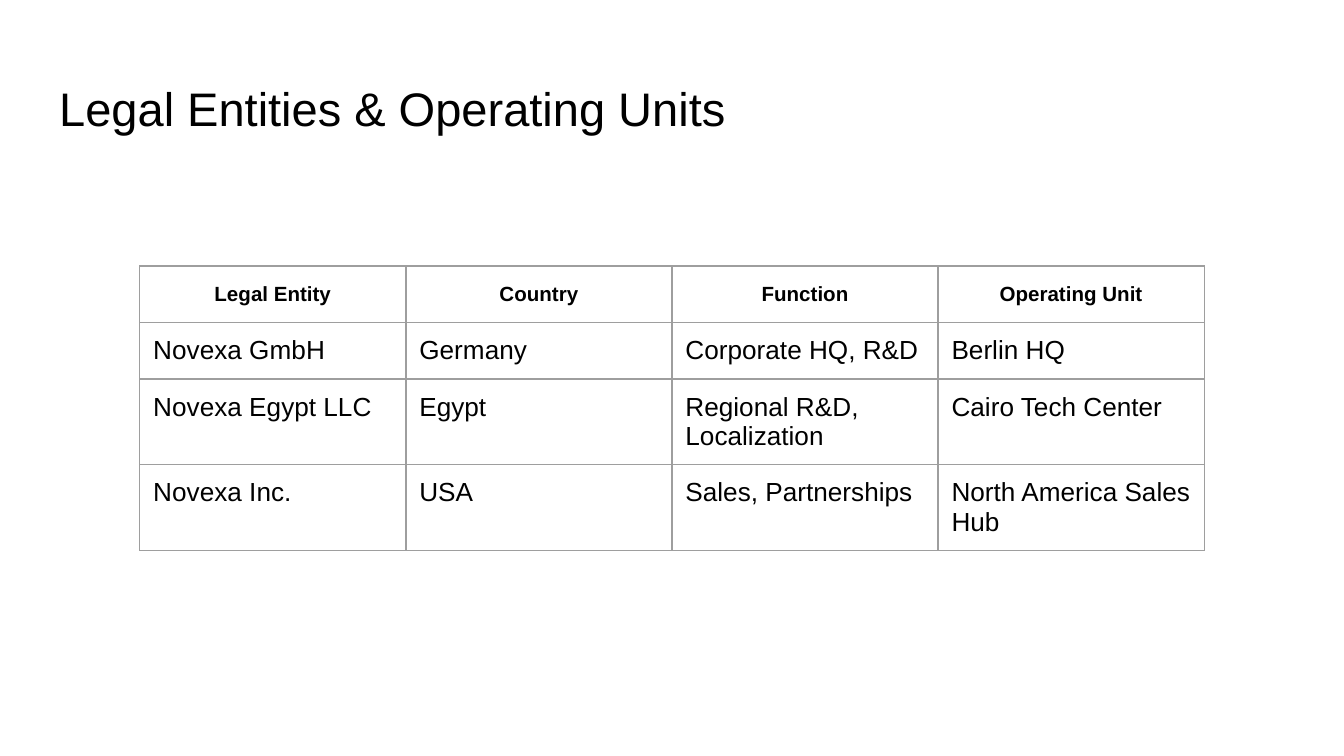
import pptx
import pptx.dml.color
import pptx.enum.text
import pptx.oxml
import pptx.oxml.ns
import pptx.util

Inches = pptx.util.Inches
ALIGN = pptx.enum.text.PP_ALIGN
ANCHOR = pptx.enum.text.MSO_ANCHOR
BLACK = pptx.dml.color.RGBColor(0x00, 0x00, 0x00)
GREY = pptx.dml.color.RGBColor(0x9E, 0x9E, 0x9E)
INSET = Inches(0.1)
COLUMN, ROW = Inches(1.98), Inches(0.42)


def write(frame, text, size, bold=False, align=ALIGN.LEFT, spacing=1.0):
    frame.text = text
    frame.word_wrap = True
    paragraph = frame.paragraphs[0]
    paragraph.alignment = align
    paragraph.line_spacing = spacing
    font = paragraph.runs[0].font
    font.name = "Arial"
    font.size = pptx.util.Pt(size)
    font.bold = bold
    font.color.rgb = BLACK


def add_borders(cell):
    properties = cell._tc.get_or_add_tcPr()
    for position, side in enumerate(("lnL", "lnR", "lnT", "lnB")):
        properties.insert(position, pptx.oxml.parse_xml(
            f'<a:{side} {pptx.oxml.ns.nsdecls("a")} w="{pptx.util.Pt(0.75)}">'
            f'<a:solidFill><a:srgbClr val="{GREY}"/></a:solidFill></a:{side}>'))


deck = pptx.Presentation()
deck.slide_width = Inches(10)
deck.slide_height = deck.slide_width * 9 // 16
slide = deck.slides.add_slide(deck.slide_layouts[5])

heading = slide.shapes.title
heading.left, heading.top = Inches(0.34), Inches(0.49)
heading.width, heading.height = Inches(9.32), Inches(0.63)
write(heading.text_frame, "Legal Entities & Operating Units", size=25.2)
heading.text_frame.auto_size = pptx.enum.text.MSO_AUTO_SIZE.NONE
heading.text_frame.vertical_anchor = ANCHOR.MIDDLE
heading.text_frame.margin_left = heading.text_frame.margin_right = INSET
heading.text_frame.margin_top = heading.text_frame.margin_bottom = INSET

entities = [
    ("Legal Entity", "Country", "Function", "Operating Unit"),
    ("Novexa GmbH", "Germany", "Corporate HQ, R&D", "Berlin HQ"),
    ("Novexa Egypt LLC", "Egypt", "Regional R&D, Localization", "Cairo Tech Center"),
    ("Novexa Inc.", "USA", "Sales, Partnerships", "North America Sales Hub"),
]
row_count, column_count = len(entities), len(entities[0])
register = slide.shapes.add_table(
    row_count, column_count, Inches(1.04), Inches(1.98),
    COLUMN * column_count, ROW * row_count).table
register.horz_banding = False
register.first_row = False

for row, entity in enumerate(entities):
    register.rows[row].height = ROW
    for column, text in enumerate(entity):
        cell = register.cell(row, column)
        cell.fill.background()
        cell.margin_left = cell.margin_right = INSET
        cell.margin_top = cell.margin_bottom = INSET
        cell.vertical_anchor = ANCHOR.TOP
        if row == 0:
            write(cell.text_frame, text, size=11, bold=True,
                  align=ALIGN.CENTER, spacing=1.15)
        else:
            write(cell.text_frame, text, size=14)
        add_borders(cell)

deck.save("out.pptx")
